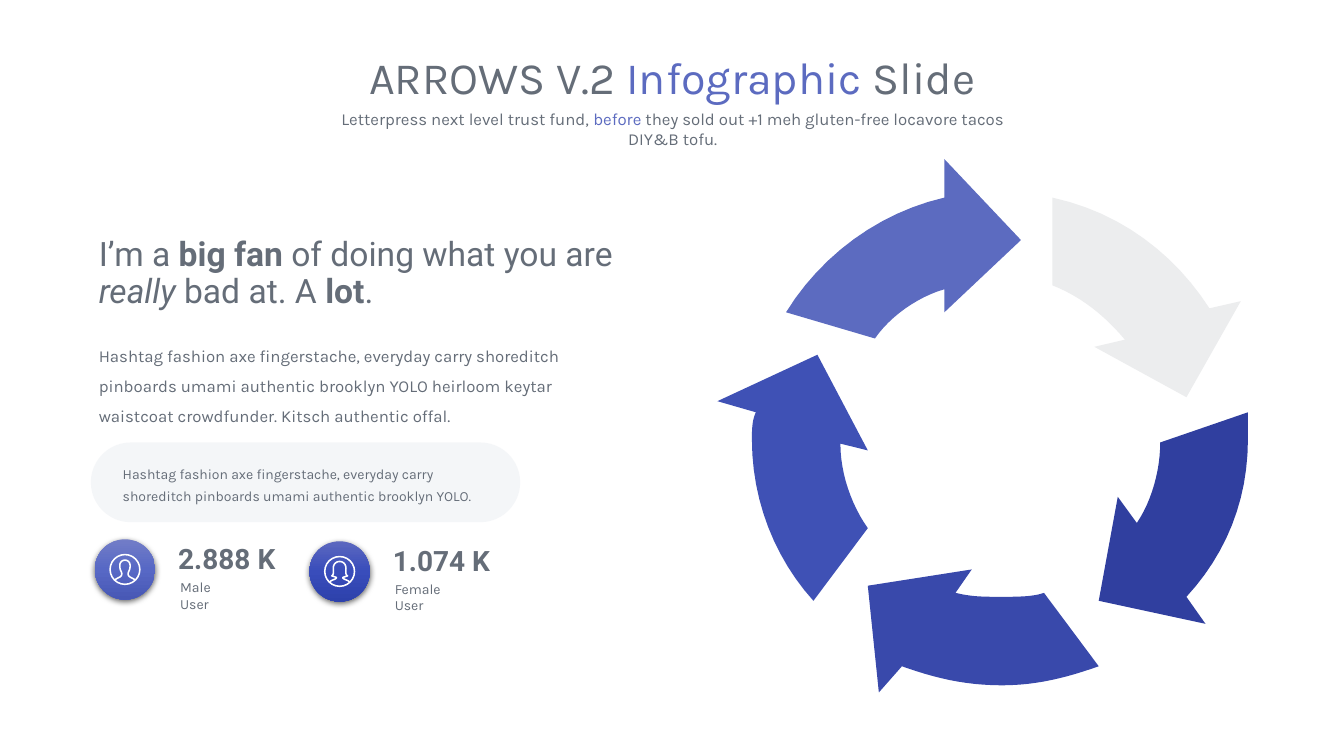
from copy import deepcopy

from pptx import Presentation
from pptx.dml.color import RGBColor
from pptx.enum.shapes import MSO_SHAPE as Shape
from pptx.enum.text import MSO_ANCHOR as Anchor, MSO_AUTO_SIZE as AutoSize, PP_ALIGN as Align
from pptx.oxml import parse_xml
from pptx.oxml.ns import nsdecls, qn
from pptx.util import Cm, Pt

GRAY = RGBColor(0x65, 0x6D, 0x78)
INDIGO = RGBColor(0x5C, 0x6B, 0xC0)
ROYAL = RGBColor(0x3F, 0x51, 0xB5)
COBALT = RGBColor(0x39, 0x49, 0xAB)
NAVY = RGBColor(0x30, 0x3F, 0x9F)
SILVER = RGBColor(0xEC, 0xED, 0xEE)
MIST = RGBColor(0xD6, 0xDC, 0xE5)
WHITE = RGBColor(0xFF, 0xFF, 0xFF)
MALE_SHADES = (RGBColor(0x72, 0x7D, 0xC7), RGBColor(0x57, 0x68, 0xC5), RGBColor(0x48, 0x58, 0xB5))
FEMALE_SHADES = (RGBColor(0x5C, 0x68, 0xBF), RGBColor(0x39, 0x4D, 0xBB), RGBColor(0x2D, 0x41, 0xAB))

TITLE = [("ARROWS V.2 ", ""), ("Infographic ", "accent"), ("Slide", "")]
SUBTITLE = [("Letterpress next level trust fund, ", ""), ("before", "accent"),
            (" they sold out +1 meh gluten-free locavore tacos DIY&B tofu.", "")]
QUOTE = [("I’m a ", ""), ("big fan ", "bold"), ("of doing what you are ", ""),
         ("really", "italic"), (" bad at. A ", ""), ("lot", "bold"), (".", "")]
BODY = [("Hashtag fashion axe fingerstache, everyday carry shoreditch pinboards umami authentic "
         "brooklyn YOLO heirloom keytar waistcoat crowdfunder. Kitsch authentic offal.", "")]
CALLOUT = [("Hashtag fashion axe fingerstache, everyday carry shoreditch pinboards umami "
            "authentic brooklyn YOLO.", "")]

ARROWS = [
    (INDIGO, [(25.73, 6.05), (23.8, 4.01), (23.8, 4.98), (22.15, 5.36, 20.7, 6.43, 19.81, 7.87),
              (22.05, 8.53), (22.43, 7.98, 23.11, 7.49, 23.8, 7.29), (23.8, 7.87)]),
    (ROYAL, [(20.6, 8.94), (18.08, 10.11), (19.05, 10.39),
             (18.95, 10.59, 18.95, 10.87, 18.95, 11.07),
             (18.95, 12.62, 19.53, 14.07, 20.5, 15.14), (21.87, 13.31),
             (21.46, 12.73, 21.18, 11.94, 21.18, 11.18), (21.87, 11.35)]),
    (COBALT, [(24.49, 14.35), (21.87, 14.76), (22.15, 17.45), (22.73, 16.79),
              (23.52, 17.07, 24.28, 17.27, 25.25, 17.27),
              (26.14, 17.27, 26.9, 17.07, 27.69, 16.79), (26.31, 14.94),
              (26.04, 15.04, 25.63, 15.04, 25.25, 15.04),
              (24.77, 15.04, 24.49, 15.04, 24.08, 14.94)]),
    (NAVY, [(31.45, 10.39), (29.24, 11.15), (29.24, 11.84, 29.03, 12.62, 28.65, 13.18),
            (28.17, 12.52), (27.69, 15.14), (30.38, 15.72), (29.9, 15.04),
            (30.89, 13.97, 31.45, 12.62, 31.45, 11.07)]),
    (SILVER, [(26.52, 4.98), (26.52, 7.19), (27.28, 7.49, 27.86, 7.98, 28.35, 8.56),
              (27.58, 8.74), (29.9, 10.01), (31.27, 7.59), (30.48, 7.77),
              (29.62, 6.43, 28.27, 5.36, 26.52, 4.98)]),
]

MALE_BUST = [(-0.25, 0.26), (-0.18, 0.2, -0.08, 0.2, -0.08, 0.11), (-0.08, 0.05, -0.13, 0.03, -0.13, -0.1),
             (-0.13, -0.28, 0.13, -0.28, 0.13, -0.1), (0.13, 0.03, 0.08, 0.05, 0.08, 0.11),
             (0.08, 0.2, 0.18, 0.2, 0.25, 0.26)]
FEMALE_BUST = [(-0.25, 0.26), (-0.18, 0.2, -0.08, 0.2, -0.08, 0.15), (-0.2, 0.11),
               (-0.14, 0.08, -0.16, 0, -0.16, -0.08), (-0.16, -0.31, 0.16, -0.31, 0.16, -0.08),
               (0.16, 0, 0.14, 0.08, 0.2, 0.11), (0.08, 0.15),
               (0.08, 0.2, 0.18, 0.2, 0.25, 0.26)]
USERS = [
    ("2.888 K", "Male User", 2.39, 13.59, 1.47, MALE_SHADES, MALE_BUST),
    ("1.074 K", "Female User", 7.8, 13.64, 1.85, FEMALE_SHADES, FEMALE_BUST),
]
BADGE = 1.52
RING = 0.75
CURVE_STEPS = 12


def write(frame, parts, font, size, spacing=1.0, align=Align.LEFT, bold=False):
    frame.word_wrap = True
    line = frame.paragraphs[0]
    line.alignment = align
    line.line_spacing = spacing
    for words, style in parts:
        run = line.add_run()
        run.text = words
        run.font.name = font
        run.font.size = Pt(size)
        run.font.bold = bold or style == "bold"
        run.font.italic = style == "italic"
        run.font.color.rgb = INDIGO if style == "accent" else GRAY


def add_text(box, parts, font, size, inset=True, **layout):
    frame = slide.shapes.add_textbox(*map(Cm, box)).text_frame
    if not inset:
        frame.margin_left = frame.margin_right = frame.margin_top = frame.margin_bottom = 0
    write(frame, parts, font, size, **layout)
    frame.auto_size = AutoSize.SHAPE_TO_FIT_TEXT


def trace(segments):
    points = [segments[0]]
    for segment in segments[1:]:
        if len(segment) == 2:
            points.append(segment)
            continue
        start, controls = points[-1], (segment[:2], segment[2:4], segment[4:])
        for step in range(1, CURVE_STEPS + 1):
            t = step / CURVE_STEPS
            weights = ((1 - t) ** 3, 3 * t * (1 - t) ** 2, 3 * t * t * (1 - t), t ** 3)
            points.append(tuple(sum(w * p[axis] for w, p in zip(weights, (start, *controls)))
                                for axis in (0, 1)))
    return points


def add_outline(segments, closed, left=0, top=0):
    points = [(Cm(left + x), Cm(top + y)) for x, y in trace(segments)]
    builder = slide.shapes.build_freeform(*points[0])
    builder.add_line_segments(points[1:], close=closed)
    outline = builder.convert_to_shape()
    outline.shadow.inherit = False
    return outline


def add_preset(kind, left, top, width, height):
    preset = slide.shapes.add_shape(kind, Cm(left), Cm(top), Cm(width), Cm(height))
    preset.shadow.inherit = False
    preset.line.fill.background()
    return preset


def draw_white_line(shape):
    shape.fill.background()
    shape.line.color.rgb = WHITE
    shape.line.width = Pt(1.1)


def add_badge(left, top, shades):
    badge = add_preset(Shape.OVAL, left, top, BADGE, BADGE)
    badge.fill.gradient()
    badge.fill.gradient_angle = 270
    properties = badge._element.spPr
    stops = properties.find(".//" + qn("a:gsLst"))
    stops.append(deepcopy(stops[0]))
    for stop, position, shade in zip(badge.fill.gradient_stops, (0, 0.5, 1), shades):
        stop.position = position
        stop.color.rgb = shade
    properties.find(qn("a:effectLst")).append(parse_xml(
        f'<a:outerShdw {nsdecls("a")} blurRad="{Pt(4.5)}" dist="{Pt(1.5)}" dir="5400000" '
        'algn="ctr" rotWithShape="0"><a:srgbClr val="000000"><a:alpha val="63000"/>'
        '</a:srgbClr></a:outerShdw>'))


deck = Presentation()
deck.slide_width, deck.slide_height = Cm(33.87), Cm(19.05)
slide = deck.slides.add_slide(deck.slide_layouts[6])

add_text((6.45, 1.14, 20.98, 1.63), TITLE, "Karla", 32, align=Align.CENTER)
add_text((8.13, 2.62, 17.65, 0.76), SUBTITLE, "Karla", 12, align=Align.CENTER)

for color, segments in ARROWS:
    arrow = add_outline(segments, True)
    arrow.fill.solid()
    arrow.fill.fore_color.rgb = color
    arrow.line.fill.background()

add_text((2.24, 5.87, 13.87, 2.11), QUOTE, "Roboto", 24, spacing=0.9)
add_text((2.24, 8.33, 13.51, 2.57), BODY, "Karla", 12, spacing=1.5)

callout = add_preset(Shape.ROUNDED_RECTANGLE, 2.29, 11.15, 10.82, 2.01)
callout.adjustments[0] = 0.5
callout.fill.solid()
callout.fill.fore_color.rgb = MIST
tint = callout._element.spPr.find(".//" + qn("a:srgbClr"))
tint.append(parse_xml(f'<a:alpha {nsdecls("a")} val="25000"/>'))
callout.text_frame.margin_left = callout.text_frame.margin_right = Cm(0.51)
callout.text_frame.vertical_anchor = Anchor.MIDDLE
write(callout.text_frame, CALLOUT, "Karla", 10, spacing=1.3)

for count, label, left, top, label_width, shades, bust in USERS:
    add_badge(left, top, shades)
    add_text((left + 1.85, top - 0.07, 3, 1.12), [(count, "")], "Roboto", 20, bold=True)
    add_text((left + 2.15, top + 0.98, label_width, 0.43), [(label, "")], "Karla", 10, inset=False)
    inset = (BADGE - RING) / 2
    draw_white_line(add_preset(Shape.OVAL, left + inset, top + inset, RING, RING))
    draw_white_line(add_outline(bust, False, left + BADGE / 2, top + BADGE / 2))

deck.save("out.pptx")
